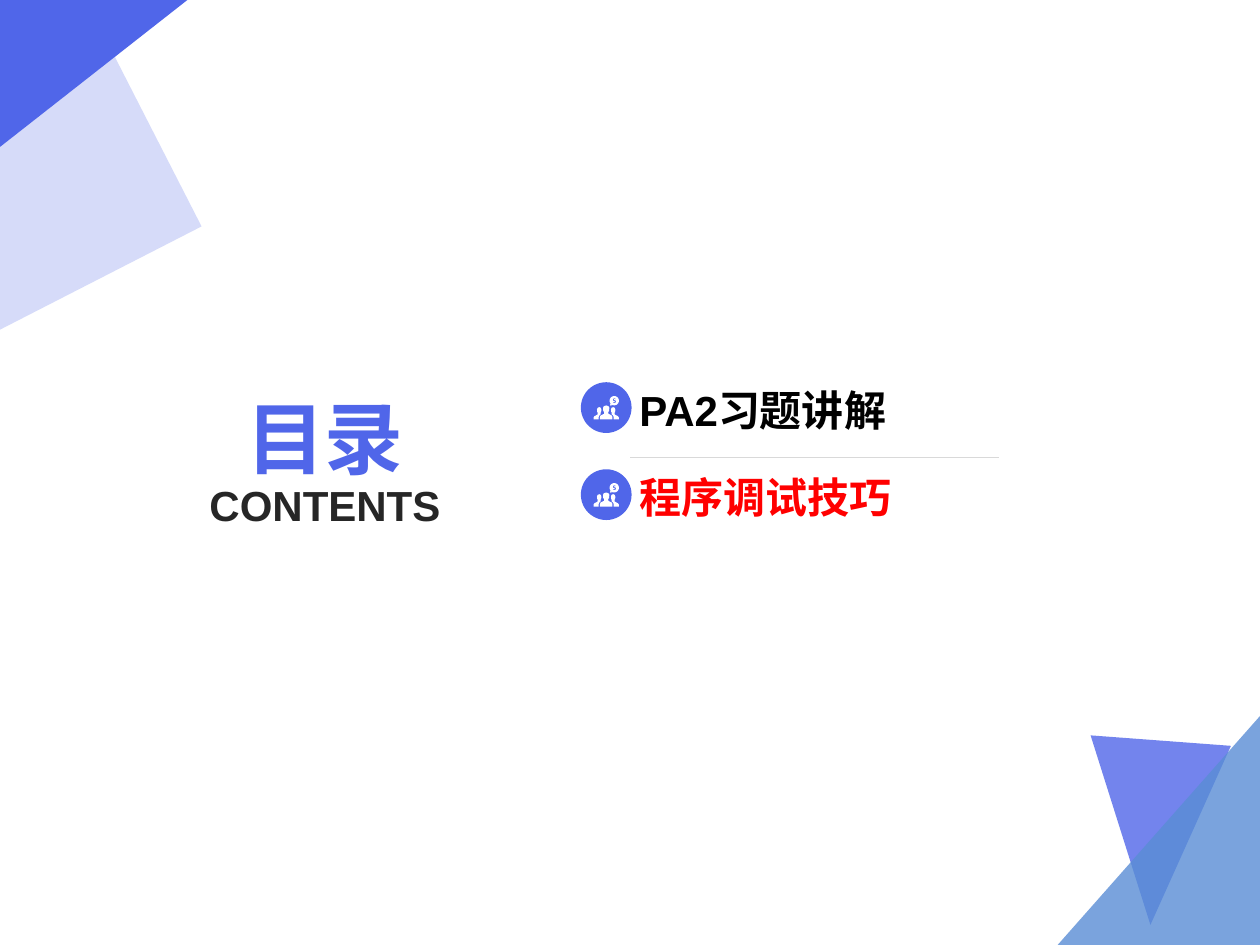
from dataclasses import dataclass
from math import cos, pi, sin

from lxml.etree import SubElement
from pptx import Presentation
from pptx.dml.color import RGBColor
from pptx.enum.shapes import MSO_CONNECTOR as Connector, MSO_SHAPE as Shape
from pptx.enum.text import MSO_ANCHOR as Anchor, MSO_AUTO_SIZE as AutoSize, PP_ALIGN as Align
from pptx.oxml.ns import qn
from pptx.util import Pt


@dataclass(frozen=True)
class Theme:
    font: str = "Arial"
    blue: str = "5066E9"
    sky: str = "598DD5"
    lavender: str = "96A3F2"
    dark: str = "262626"
    black: str = "000000"
    red: str = "FF0000"
    white: str = "FFFFFF"
    rule: str = "D9D9D9"
    title_size: float = 45
    body_size: float = 24


THEME = Theme()

CORNERS = [
    ([(703.4, 426.2), (657.4, 528.5), (623.2, 420.2)], THEME.blue, 80),
    ([(720, 540), (604.4, 540), (720, 409.2)], THEME.sky, 80),
    ([(0, 188.4), (115.2, 129.4), (65.6, 32.4), (0, 84)], THEME.lavender, 39),
    ([(0, 0), (107.1, 0), (0, 84)], THEME.blue, 100),
]
ENTRIES = [("PA2习题讲解", THEME.black), ("程序调试技巧", THEME.red)]
ENTRY_TOP, ENTRY_PITCH = 218.4, 49.75
BADGE_LEFT, BADGE_SIZE = 331.9, 29
TEXT_LEFT, TEXT_WIDTH, TEXT_HEIGHT = 360, 211, 37.5

ICON_UNIT = 0.72
LEADER = [(10, 7.7), (11.8, 8.2), (12.5, 9.5), (12.3, 12), (11.6, 13), (11.7, 14.3),
          (14.5, 15.7), (15, 17), (15, 18.8), (5, 18.8), (5, 17), (5.5, 15.7),
          (8.3, 14.3), (8.4, 13), (7.7, 12), (7.5, 9.5), (8.2, 8.2)]
LEFT_MEMBER = [(4.5, 9), (5.8, 9.6), (6.2, 11), (6, 12.8), (5.6, 13.3), (5.7, 14.6),
               (4.5, 15.7), (4, 17), (4, 18.8), (0, 18.8), (0, 17.2), (0.6, 16.3),
               (3.3, 14.8), (3.3, 13.3), (2.9, 12.8), (2.7, 11), (3.2, 9.6)]
RIGHT_MEMBER = [(20 - x, y) for x, y in LEFT_MEMBER]
COIN = [(16.4 + 3.7 * cos(step * pi / 12), 3.9 + 3.7 * sin(step * pi / 12)) for step in range(24)]
COIN_TAIL = [(13.3, 6), (13.1, 7.7), (15.2, 7.4)]
DOLLAR = [(17.6, 2.3), (17.2, 2.8), (16.1, 2.7), (16.1, 3.2), (17.6, 3.9), (17.6, 5.2),
          (16.8, 5.8), (15.4, 5.4), (15.6, 4.8), (16.7, 5), (16.8, 4.5), (15.3, 3.7),
          (15.3, 2.6), (16.2, 2)]
ICON = [LEADER, LEFT_MEMBER, RIGHT_MEMBER, COIN, DOLLAR]


def paint(shape, color, opacity=100):
    shape.shadow.inherit = False
    shape.fill.solid()
    shape.fill.fore_color.rgb = RGBColor.from_string(color)
    shape.line.fill.background()
    if opacity < 100:
        color_element = shape.fill._xPr.find(qn("a:solidFill"))[0]
        SubElement(color_element, qn("a:alpha"), val=str(opacity * 1000))


def add_outline(slide, contours, color, opacity=100):
    first, *others = [[(Pt(x), Pt(y)) for x, y in contour] for contour in contours]
    builder = slide.shapes.build_freeform(*first[0])
    builder.add_line_segments(first[1:])
    for contour in others:
        builder.move_to(*contour[0])
        builder.add_line_segments(contour[1:])
    paint(builder.convert_to_shape(), color, opacity)


def write_text(shape, text, *, box, color, size=THEME.body_size, align=Align.LEFT,
               anchor=Anchor.MIDDLE, top=3.6, bottom=0, spacing=None):
    shape.left, shape.top, shape.width, shape.height = map(Pt, box)
    frame = shape.text_frame
    frame.word_wrap = True
    frame.auto_size = AutoSize.NONE
    frame.vertical_anchor = anchor
    frame.margin_left = frame.margin_right = Pt(5.4)
    frame.margin_top, frame.margin_bottom = Pt(top), Pt(bottom)
    paragraph = frame.paragraphs[0]
    paragraph.alignment = align
    paragraph.line_spacing = spacing
    run = paragraph.add_run()
    run.text = text
    run.font.name = THEME.font
    run.font.size = Pt(size)
    run.font.bold = True
    run.font.color.rgb = RGBColor.from_string(color)


def add_text(slide, text, **options):
    write_text(slide.shapes.add_textbox(0, 0, 0, 0), text, **options)


def add_badge(slide, left, top):
    size = Pt(BADGE_SIZE)
    paint(slide.shapes.add_shape(Shape.OVAL, Pt(left), Pt(top), size, size), THEME.blue)

    def place(contour):
        return [(left + 7.3 + x * ICON_UNIT, top + 7.8 + y * ICON_UNIT) for x, y in contour]

    add_outline(slide, [place(contour) for contour in ICON], THEME.white)
    add_outline(slide, [place(COIN_TAIL)], THEME.white)


def add_entry(slide, index, text, color):
    top = ENTRY_TOP + index * ENTRY_PITCH
    add_badge(slide, BADGE_LEFT, top)
    text_top = top + (BADGE_SIZE - TEXT_HEIGHT) / 2 - 0.6
    add_text(slide, text, color=color, box=(TEXT_LEFT, text_top, TEXT_WIDTH, TEXT_HEIGHT))


def add_rule(slide, left, right, y):
    rule = slide.shapes.add_connector(Connector.STRAIGHT, Pt(left), Pt(y), Pt(right), Pt(y))
    rule.line.color.rgb = RGBColor.from_string(THEME.rule)
    rule.line.width = Pt(0.25)
    SubElement(rule._element.spPr, qn("a:effectLst"))


def main():
    presentation = Presentation()
    presentation.slide_width, presentation.slide_height = Pt(720), Pt(540)
    slide = presentation.slides.add_slide(presentation.slide_layouts[5])
    for points, color, opacity in CORNERS:
        add_outline(slide, [points], color, opacity)
    write_text(slide.shapes.title, "目录", box=(113, 208.8, 145.4, 67.7), color=THEME.blue,
               size=THEME.title_size, align=Align.CENTER, anchor=Anchor.BOTTOM)
    add_text(slide, "CONTENTS", box=(113, 279.4, 145.4, 29.5), color=THEME.dark,
             align=Align.CENTER, anchor=Anchor.TOP, top=0, bottom=3.6, spacing=0.8)
    for index, (text, color) in enumerate(ENTRIES):
        add_entry(slide, index, text, color)
    add_rule(slide, TEXT_LEFT, TEXT_LEFT + TEXT_WIDTH, 261.4)
    presentation.save("out.pptx")


if __name__ == "__main__":
    main()
